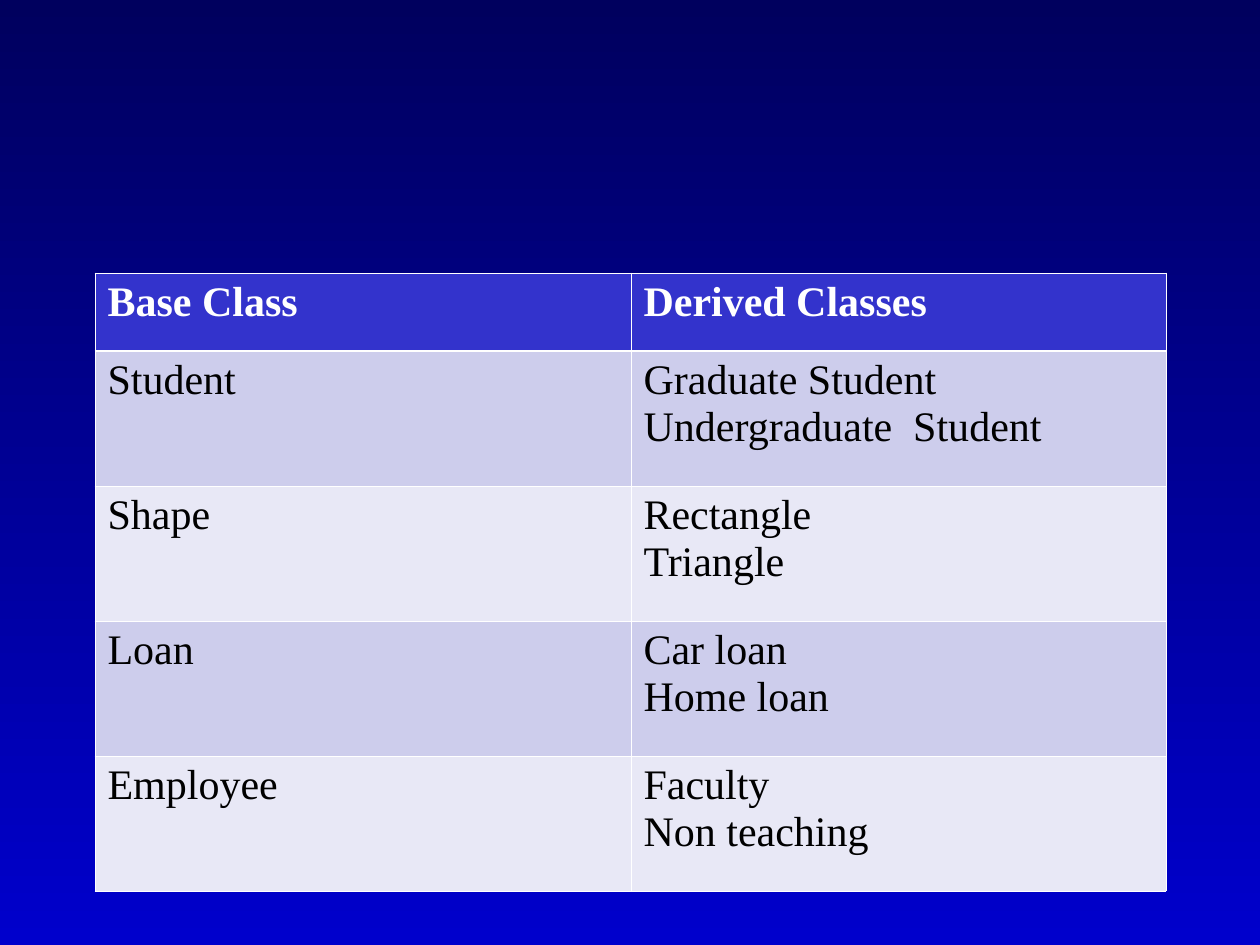
from dataclasses import dataclass

import pptx
import pptx.dml.color
import pptx.oxml
import pptx.oxml.ns
import pptx.util

PX = 914400 / 126
COLORS = {
    "background_top": "00005E",
    "background_bottom": "0000CC",
    "header": "3333CC",
    "band_dark": "CDCDEC",
    "band_light": "E8E8F6",
    "white": "FFFFFF",
    "black": "000000",
}
THIN, THICK = 0.45, 1.47
LEFT, TOP = 95, 273
COLUMN_WIDTHS = (536, 535)
HEADER_HEIGHT, BODY_HEIGHT = 78, 135


@dataclass(frozen=True)
class Inheritance:
    base: str
    derived: tuple[str, ...]


HEADINGS = ("Base Class", "Derived Classes")
INHERITANCES = (
    Inheritance("Student", ("Graduate Student", "Undergraduate  Student")),
    Inheritance("Shape", ("Rectangle", "Triangle")),
    Inheritance("Loan", ("Car loan", "Home loan")),
    Inheritance("Employee", ("Faculty", "Non teaching")),
)


def px(length: int) -> pptx.util.Emu:
    return pptx.util.Emu(round(length * PX))


def rgb(name: str) -> pptx.dml.color.RGBColor:
    return pptx.dml.color.RGBColor.from_string(COLORS[name])


def write_text(frame, text: str, *, color: str, bold: bool = False,
               size: int = 24, font: str = "Times New Roman") -> None:
    frame.text = text
    for paragraph in frame.paragraphs:
        for run in paragraph.runs:
            run.font.name = font
            run.font.size = pptx.util.Pt(size)
            run.font.bold = bold
            run.font.color.rgb = rgb(color)


def set_borders(cell, *, top: float = THIN, bottom: float = THIN) -> None:
    """Add white cell borders, which must come before the fill in the XML."""
    properties = cell._tc.get_or_add_tcPr()
    widths = {"lnL": THIN, "lnR": THIN, "lnT": top, "lnB": bottom}
    for index, (tag, width) in enumerate(widths.items()):
        properties.insert(index, pptx.oxml.parse_xml(
            f'<a:{tag} {pptx.oxml.ns.nsdecls("a")} w="{pptx.util.Pt(width)}">'
            f'<a:solidFill><a:srgbClr val="{COLORS["white"]}"/></a:solidFill>'
            f'</a:{tag}>'))


def fill_background(slide) -> None:
    fill = slide.background.fill
    fill.gradient()
    fill.gradient_angle = 270
    for stop, color in zip(fill.gradient_stops,
                           ("background_top", "background_bottom")):
        stop.color.rgb = rgb(color)


def draw_class_table(slide) -> None:
    rows = [HEADINGS] + [(item.base, "\n".join(item.derived))
                         for item in INHERITANCES]
    heights = [HEADER_HEIGHT] + [BODY_HEIGHT] * len(INHERITANCES)
    table = slide.shapes.add_table(
        len(rows), len(HEADINGS), px(LEFT), px(TOP),
        px(sum(COLUMN_WIDTHS)), px(sum(heights))).table
    for column, width in zip(table.columns, COLUMN_WIDTHS):
        column.width = px(width)
    for row_index, (texts, height) in enumerate(zip(rows, heights)):
        table.rows[row_index].height = px(height)
        is_header = row_index == 0
        band = "band_dark" if row_index % 2 else "band_light"
        for column_index, text in enumerate(texts):
            cell = table.cell(row_index, column_index)
            write_text(cell.text_frame, text, bold=is_header,
                       color="white" if is_header else "black")
            cell.fill.solid()
            cell.fill.fore_color.rgb = rgb("header" if is_header else band)
            set_borders(cell, top=THICK if row_index == 1 else THIN,
                        bottom=THICK if is_header else THIN)


def main() -> None:
    presentation = pptx.Presentation()
    presentation.slide_width, presentation.slide_height = px(1260), px(945)
    slide = presentation.slides.add_slide(presentation.slide_layouts[6])
    fill_background(slide)
    draw_class_table(slide)
    presentation.save("out.pptx")


if __name__ == "__main__":
    main()
